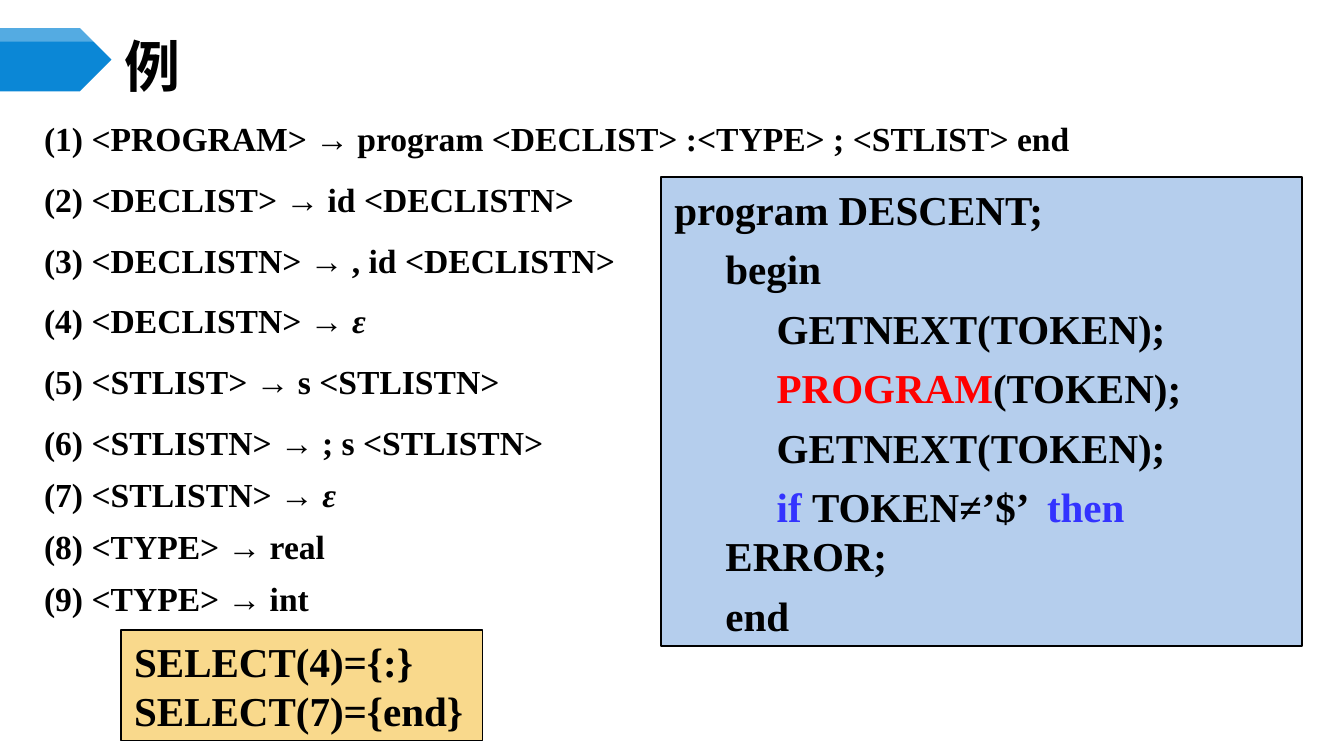
import pptx
import pptx.util
import pptx.dml.color
import pptx.enum.shapes
import pptx.enum.text
import pptx.oxml
import pptx.oxml.ns

Inches = pptx.util.Inches
Pt = pptx.util.Pt
Anchor = pptx.enum.text.MSO_ANCHOR
AutoSize = pptx.enum.text.MSO_AUTO_SIZE

LATIN, CHINESE = "Times New Roman", "Noto Sans CJK SC"
BLACK, RED, BLUE = "000000", "FF0000", "3333FF"

RULES = [
    "(1) <PROGRAM> → program <DECLIST> :<TYPE> ; <STLIST> end",
    "(2) <DECLIST> → id <DECLISTN>",
    "(3) <DECLISTN> → , id <DECLISTN>",
    ["(4) <DECLISTN> → ", ("ε", {"italic": True})],
    "(5) <STLIST> → s <STLISTN>",
    "(6) <STLISTN> → ; s <STLISTN>",
    ["(7) <STLISTN> → ", ("ε", {"italic": True})],
    "(8) <TYPE> → real",
    "(9) <TYPE> → int",
]
LOOSE_RULES = 6

CODE = [
    "program DESCENT;",
    "\tbegin",
    "\t     GETNEXT(TOKEN);",
    ["\t     ", ("PROGRAM", {"color": RED}), "(TOKEN);"],
    "\t     GETNEXT(TOKEN);",
    ["\t     ", ("if ", {"color": BLUE}), "TOKEN≠’$’ ",
     (" then ", {"color": BLUE}), "ERROR;"],
    "\tend",
]

SELECT_SETS = ["SELECT(4)={:}", "SELECT(7)={end}"]


def rgb(value):
    return pptx.dml.color.RGBColor.from_string(value)


def write_run(paragraph, text, size, font=LATIN, color=BLACK, italic=None):
    run = paragraph.add_run()
    run.text = text
    run.font.name = font
    run.font.size = Pt(size)
    run.font.bold = True
    run.font.italic = italic
    run.font.color.rgb = rgb(color)
    if font == CHINESE:
        east_asian = pptx.oxml.parse_xml(
            f'<a:ea {pptx.oxml.ns.nsdecls("a")} typeface="{font}"/>')
        run.font._element.append(east_asian)


def write_text(frame, lines, size, font=LATIN, gaps=(), line_spacing=None,
               hanging=None, anchor=Anchor.TOP, wrap=True,
               auto_size=AutoSize.NONE):
    """Write one paragraph per line; a line is a string or a list of runs."""
    frame.word_wrap = wrap
    frame.auto_size = auto_size
    frame.vertical_anchor = anchor
    for index, line in enumerate(lines):
        paragraph = frame.add_paragraph() if index else frame.paragraphs[0]
        paragraph.alignment = pptx.enum.text.PP_ALIGN.LEFT
        paragraph.space_before = Pt(gaps[index] if gaps else 0)
        if line_spacing:
            paragraph.line_spacing = Pt(line_spacing)
        if hanging:
            properties = paragraph._p.get_or_add_pPr()
            properties.set("marL", str(Inches(hanging)))
            properties.set("indent", str(-Inches(hanging)))
        for part in [line] if isinstance(line, str) else line:
            text, changes = (part, {}) if isinstance(part, str) else part
            write_run(paragraph, text, size, font, **changes)


def add_pointer(shapes, left, top, width, height, tip, fill, opacity=None):
    """Draw a bar whose right end narrows to a point over the tip length."""
    right, bottom = left + width, top + height
    corners = [(left, top), (right - tip, top), (right, top + height / 2),
               (right - tip, bottom), (left, bottom)]
    points = [(Inches(x), Inches(y)) for x, y in corners]
    builder = shapes.build_freeform(*points[0], scale=1.0)
    builder.add_line_segments(points[1:], close=True)
    pointer = builder.convert_to_shape()
    pointer.shadow.inherit = False
    pointer.line.fill.background()
    pointer.fill.solid()
    pointer.fill.fore_color.rgb = rgb(fill)
    if opacity is not None:
        color = pointer._element.spPr.find(".//" + pptx.oxml.ns.qn("a:srgbClr"))
        color.append(pptx.oxml.parse_xml(
            f'<a:alpha {pptx.oxml.ns.nsdecls("a")} val="{opacity * 1000}"/>'))


def add_banner(slide, left, top, width, height):
    shapes = slide.shapes.add_group_shape().shapes
    add_pointer(shapes, left, top, width, height, height / 2, "0B87D6")
    add_pointer(shapes, left, top, width, 0.1, 0.05, "FFFFFF", opacity=30)


def place_title(slide, text, left, top, width, height):
    title = slide.shapes.title
    title.left, title.top = Inches(left), Inches(top)
    title.width, title.height = Inches(width), Inches(height)
    write_text(title.text_frame, [text], 30, CHINESE, anchor=Anchor.MIDDLE)


def add_panel(slide, left, top, width, height, fill):
    panel = slide.shapes.add_shape(
        pptx.enum.shapes.MSO_SHAPE.RECTANGLE,
        Inches(left), Inches(top), Inches(width), Inches(height))
    panel.shadow.inherit = False
    panel.fill.solid()
    panel.fill.fore_color.rgb = rgb(fill)
    panel.line.color.rgb = rgb(BLACK)
    panel.line.width = Pt(1)
    return panel


def add_select_sets(slide, *box):
    panel = add_panel(slide, *box, fill="F9D98C")
    write_text(panel.text_frame, SELECT_SETS, 22, anchor=Anchor.MIDDLE,
               wrap=False)


def add_grammar(slide, left, top, width, height):
    grammar = slide.shapes.add_textbox(
        Inches(left), Inches(top), Inches(width), Inches(height))
    gaps = [4.5 if 0 < index < LOOSE_RULES else 0
            for index in range(len(RULES))]
    write_text(grammar.text_frame, RULES, 18, gaps=gaps, line_spacing=28,
               hanging=0.38, auto_size=AutoSize.SHAPE_TO_FIT_TEXT)


def add_program(slide, *box):
    panel = add_panel(slide, *box, fill="B5CEED")
    gaps = [0] + [5.5] * (len(CODE) - 1)
    write_text(panel.text_frame, CODE, 22, gaps=gaps, hanging=0.38,
               auto_size=AutoSize.SHAPE_TO_FIT_TEXT)


def main():
    presentation = pptx.Presentation()
    presentation.slide_width = Inches(10)
    presentation.slide_height = Inches(10 * 9 / 16)
    slide = presentation.slides.add_slide(presentation.slide_layouts[5])
    add_banner(slide, 0, 0.21, 0.83, 0.47)
    add_select_sets(slide, 0.9, 4.69, 2.69, 0.82)
    place_title(slide, "例", 0.83, 0.29, 8.67, 0.39)
    add_grammar(slide, 0.23, 0.74, 9.53, 3.91)
    add_program(slide, 4.92, 1.32, 4.77, 3.49)
    presentation.save("out.pptx")


if __name__ == "__main__":
    main()
